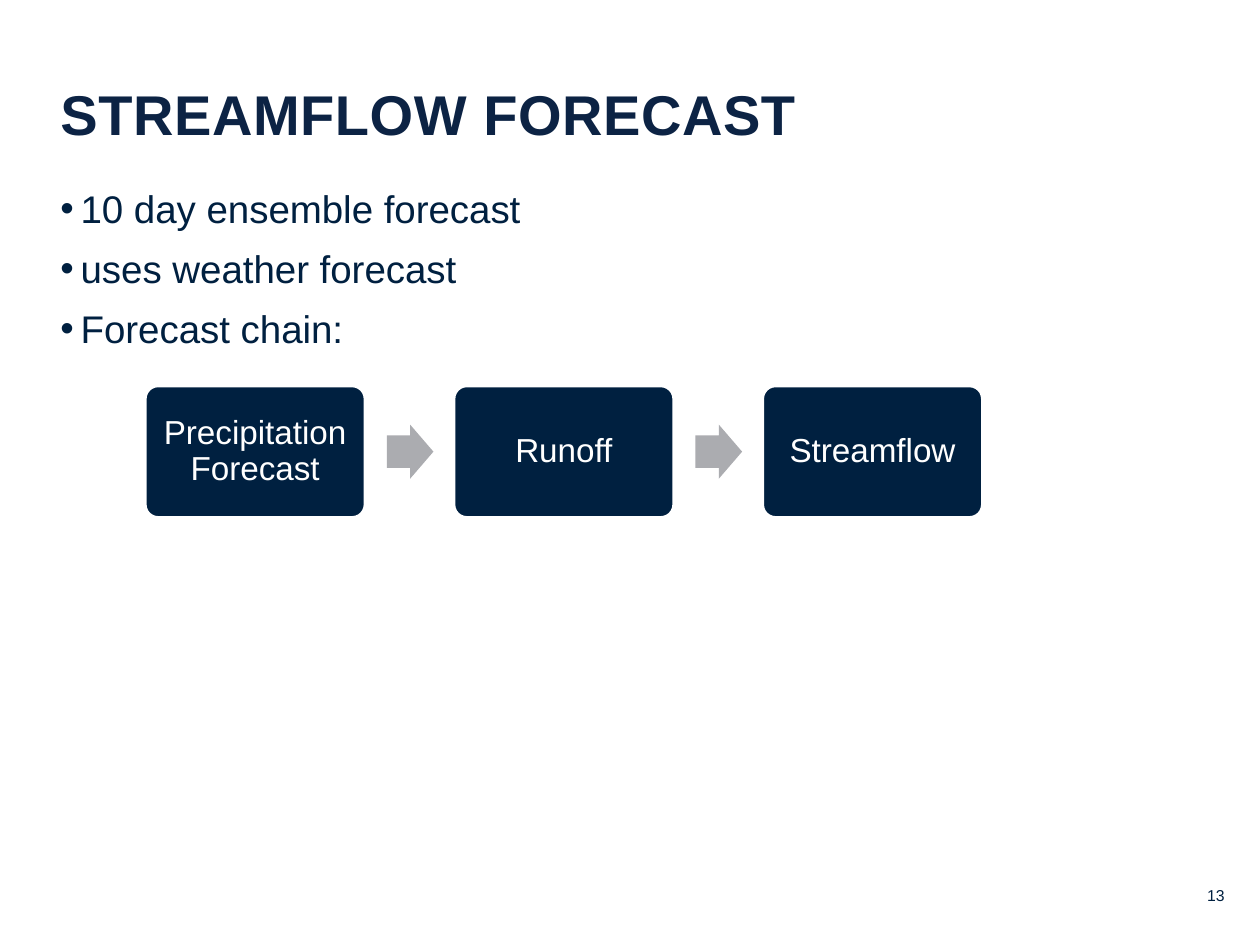
from typing import NamedTuple

from lxml.etree import SubElement
from pptx import Presentation
from pptx.dml.color import RGBColor
from pptx.enum.shapes import MSO_SHAPE as Preset
from pptx.enum.text import MSO_ANCHOR as Anchor, PP_ALIGN as Align
from pptx.oxml.ns import qn
from pptx.util import Inches, Pt

NAVY = RGBColor(0x00, 0x20, 0x40)
TITLE_NAVY = RGBColor(0x0C, 0x23, 0x44)
GREY = RGBColor(0xAB, 0xAC, 0xB0)
WHITE = RGBColor(0xFF, 0xFF, 0xFF)


class Area(NamedTuple):
    left: float
    top: float
    width: float
    height: float


FIRST_STEP = Area(1.15, 3.06, 1.75, 1.05)
FIRST_ARROW = Area(3.07, 3.37, 0.37, 0.43)
STEP_PITCH = 2.45
STEPS = ("Precipitation Forecast", "Runoff", "Streamflow")
POINTS = ("10 day ensemble forecast", "uses weather forecast", "Forecast chain:")


def set_margins(frame, margin: float) -> None:
    """Give all four sides of a text frame the same inset."""
    frame.margin_left = frame.margin_right = Inches(margin)
    frame.margin_top = frame.margin_bottom = Inches(margin)


def style(paragraph, size: float, color: RGBColor) -> None:
    """Set the font of a whole paragraph."""
    paragraph.font.name = "Arial"
    paragraph.font.size = Pt(size)
    paragraph.font.color.rgb = color


def add_text(slide, area: Area, lines: tuple[str, ...], size: float, color: RGBColor):
    """Add a wrapping text box without insets, one paragraph per line."""
    frame = slide.shapes.add_textbox(*map(Inches, area)).text_frame
    frame.word_wrap = True
    set_margins(frame, 0)
    frame.text = "\n".join(lines)
    for paragraph in frame.paragraphs:
        style(paragraph, size, color)
    return frame


def add_bullet(paragraph) -> None:
    """Give a paragraph a round bullet with a hanging indent."""
    properties = paragraph._p.get_or_add_pPr()
    properties.set("marL", str(Inches(0.16)))
    properties.set("indent", str(-Inches(0.16)))
    SubElement(properties, qn("a:buFont")).set("typeface", "Arial")
    SubElement(properties, qn("a:buChar")).set("char", "•")


def add_preset(slide, preset: Preset, area: Area, index: int, fill: RGBColor):
    """Add a filled shape, moved right by its index in the chain."""
    moved = area._replace(left=area.left + index * STEP_PITCH)
    shape = slide.shapes.add_shape(preset, *map(Inches, moved))
    shape.shadow.inherit = False
    shape.fill.solid()
    shape.fill.fore_color.rgb = fill
    return shape


def add_step(slide, index: int, label: str) -> None:
    """Add one labelled step of the forecast chain."""
    step = add_preset(slide, Preset.ROUNDED_RECTANGLE, FIRST_STEP, index, NAVY)
    step.adjustments[0] = 0.1
    step.line.color.rgb = WHITE
    step.line.width = Pt(2)
    frame = step.text_frame
    frame.word_wrap = True
    frame.vertical_anchor = Anchor.MIDDLE
    set_margins(frame, 0.08)
    frame.text = label
    paragraph = frame.paragraphs[0]
    paragraph.alignment = Align.CENTER
    paragraph.line_spacing = 0.9
    style(paragraph, 19, WHITE)


def add_arrow(slide, index: int) -> None:
    """Add the arrow that follows a step."""
    arrow = add_preset(slide, Preset.RIGHT_ARROW, FIRST_ARROW, index, GREY)
    arrow.adjustments[0] = 0.6
    arrow.adjustments[1] = 0.5
    arrow.line.fill.background()


def main() -> None:
    """Build the streamflow forecast slide."""
    deck = Presentation()
    deck.slide_width, deck.slide_height = Inches(10), Inches(7.5)
    slide = deck.slides.add_slide(deck.slide_layouts[6])

    number = add_text(slide, Area(9.39, 7.03, 0.33, 0.21), ("13",), 9, NAVY)
    number.paragraphs[0].alignment = Align.RIGHT

    title = add_text(slide, Area(0.48, 0.68, 8.38, 0.68), ("STREAMFLOW FORECAST",), 32, TITLE_NAVY)
    title.vertical_anchor = Anchor.MIDDLE
    heading = title.paragraphs[0]
    heading.line_spacing = Pt(21)
    heading.font.bold = True
    heading.runs[0].font._element.set("spc", "30")

    points = add_text(slide, Area(0.48, 1.36, 8.38, 5.7), POINTS, 22, NAVY)
    for point in points.paragraphs:
        point.line_spacing = 1.3
        add_bullet(point)

    for index, label in enumerate(STEPS):
        add_step(slide, index, label)
        if index < len(STEPS) - 1:
            add_arrow(slide, index)

    deck.save("out.pptx")


if __name__ == "__main__":
    main()
